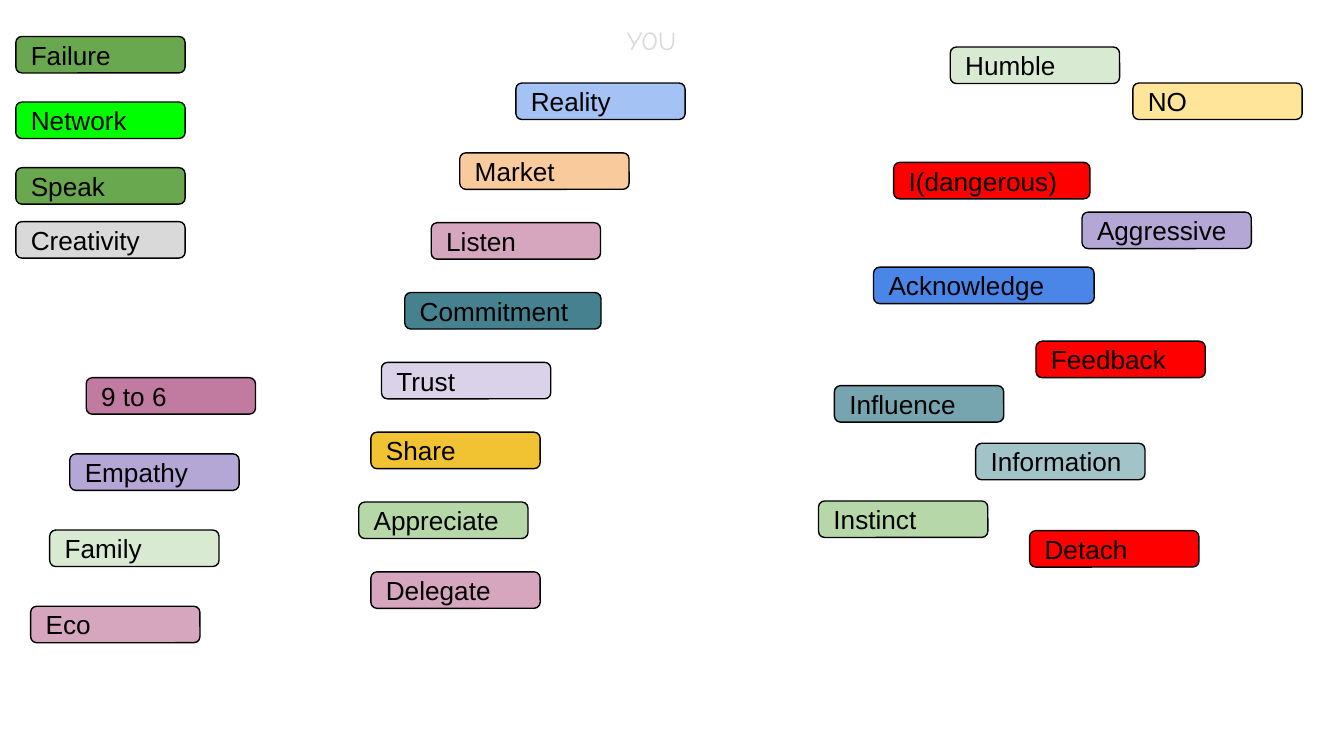
from dataclasses import dataclass

from lxml.etree import SubElement
from pptx import Presentation
from pptx.dml.color import RGBColor as RGB
from pptx.enum.shapes import MSO_SHAPE as Shape
from pptx.enum.text import MSO_ANCHOR as Anchor, MSO_AUTO_SIZE as AutoSize, PP_ALIGN as Align
from pptx.oxml.ns import qn
from pptx.util import Cm, Pt


@dataclass(frozen=True)
class Theme:
    ink: str = "000000"
    title: str = "D9D9D9"
    font: str = "Arial"
    title_font: str = "Comic Neue"
    size: float = 14
    line: float = 0.75
    leaf: str = "6AA84F"
    lime: str = "00FF00"
    grey: str = "D9D9D9"
    sky: str = "A4C2F4"
    peach: str = "F9CB9C"
    pink: str = "D5A6BD"
    plum: str = "C27BA0"
    teal: str = "45818E"
    mid_teal: str = "76A5AF"
    pale_teal: str = "A2C4C9"
    lavender: str = "D9D2E9"
    violet: str = "B4A7D6"
    gold: str = "F1C232"
    cream: str = "FFE599"
    sage: str = "B6D7A8"
    mint: str = "D9EAD3"
    red: str = "FF0000"
    blue: str = "4A86E8"


T = Theme()
TAG_W, WIDE_W, WIDEST_W, TAG_H = 3.2, 3.71, 4.17, 0.69


def write(tf, text, *, font=T.font, size=T.size, color=T.ink, align=Align.LEFT,
          anchor=Anchor.MIDDLE, inset_x=0.25, inset_y=0.25):
    """Fill a text frame with one formatted paragraph and return its run."""
    tf.word_wrap = True
    tf.auto_size = AutoSize.NONE
    tf.vertical_anchor = anchor
    tf.margin_left = tf.margin_right = Cm(inset_x)
    tf.margin_top = tf.margin_bottom = Cm(inset_y)
    p = tf.paragraphs[0]
    p.alignment = align
    r = p.add_run()
    r.text = text
    r.font.name, r.font.size = font, Pt(size)
    r.font.color.rgb = RGB.from_string(color)
    return r


class Board:
    def __init__(self, theme, slide):
        self.theme, self.slide = theme, slide

    def title(self, text, x, y, w, h):
        sp = self.slide.shapes.title
        sp.left, sp.top, sp.width, sp.height = Cm(x), Cm(y), Cm(w), Cm(h)
        r = write(sp.text_frame, text, font=self.theme.title_font,
                  color=self.theme.title, align=Align.CENTER,
                  anchor=Anchor.TOP, inset_y=0.13)
        # Letter outline: must come first in the run properties
        rpr = r.font._element
        ln = SubElement(rpr, qn("a:ln"), w=str(Pt(self.theme.line)))
        SubElement(SubElement(ln, qn("a:solidFill")), qn("a:srgbClr"), val=self.theme.ink)
        rpr.insert(0, ln)

    def tag(self, text, x, y, fill, w=TAG_W):
        sp = self.slide.shapes.add_shape(
            Shape.ROUNDED_RECTANGLE, Cm(x), Cm(y), Cm(w), Cm(TAG_H))
        sp.shadow.inherit = False
        sp.fill.solid()
        sp.fill.fore_color.rgb = RGB.from_string(fill)
        sp.line.color.rgb = RGB.from_string(self.theme.ink)
        sp.line.width = Pt(self.theme.line)
        write(sp.text_frame, text)

    def column(self, top, step, tags):
        """Place tags (text, x, fill[, width]) at an even vertical step."""
        for i, (text, x, *look) in enumerate(tags):
            self.tag(text, x, top + i * step, *look)


def main():
    prs = Presentation()
    prs.slide_width, prs.slide_height = Cm(25.4), Cm(14.29)
    board = Board(T, prs.slides.add_slide(prs.slide_layouts[5]))

    board.title("YOU", 0.2, 0.33, 24.23, 12.37)

    # Upper left column
    board.column(0.69, 1.24, [
        ("Failure", 0.3, T.leaf),
        ("Network", 0.3, T.lime),
        ("Speak", 0.3, T.leaf),
    ])
    board.tag("Creativity", 0.3, 4.19, T.grey)

    # Centre arc
    board.column(1.57, 1.32, [
        ("Reality", 9.75, T.sky),
        ("Market", 8.69, T.peach),
        ("Listen", 8.15, T.pink),
        ("Commitment", 7.65, T.teal, WIDE_W),
        ("Trust", 7.21, T.lavender),
        ("Share", 7.01, T.gold),
        ("Appreciate", 6.78, T.sage),
        ("Delegate", 7.01, T.pink),
    ])

    # Lower left column
    board.column(7.14, 1.44, [
        ("9 to 6", 1.63, T.plum),
        ("Empathy", 1.32, T.violet),
        ("Family", 0.94, T.mint),
        ("Eco", 0.58, T.pink),
    ])

    # Scattered tags on the right
    for tag in [
        ("Humble", 17.96, 0.89, T.mint),
        ("NO", 21.41, 1.57, T.cream),
        ("I(dangerous)", 16.89, 3.07, T.red, WIDE_W),
        ("Aggressive", 20.45, 4.01, T.violet),
        ("Acknowledge", 16.51, 5.05, T.blue, WIDEST_W),
        ("Feedback", 19.58, 6.45, T.red),
        ("Influence", 15.77, 7.29, T.mid_teal),
        ("Information", 18.44, 8.38, T.pale_teal),
        ("Instinct", 15.47, 9.47, T.sage),
        ("Detach", 19.46, 10.03, T.red),
    ]:
        board.tag(*tag)

    prs.save("out.pptx")


if __name__ == "__main__":
    main()
